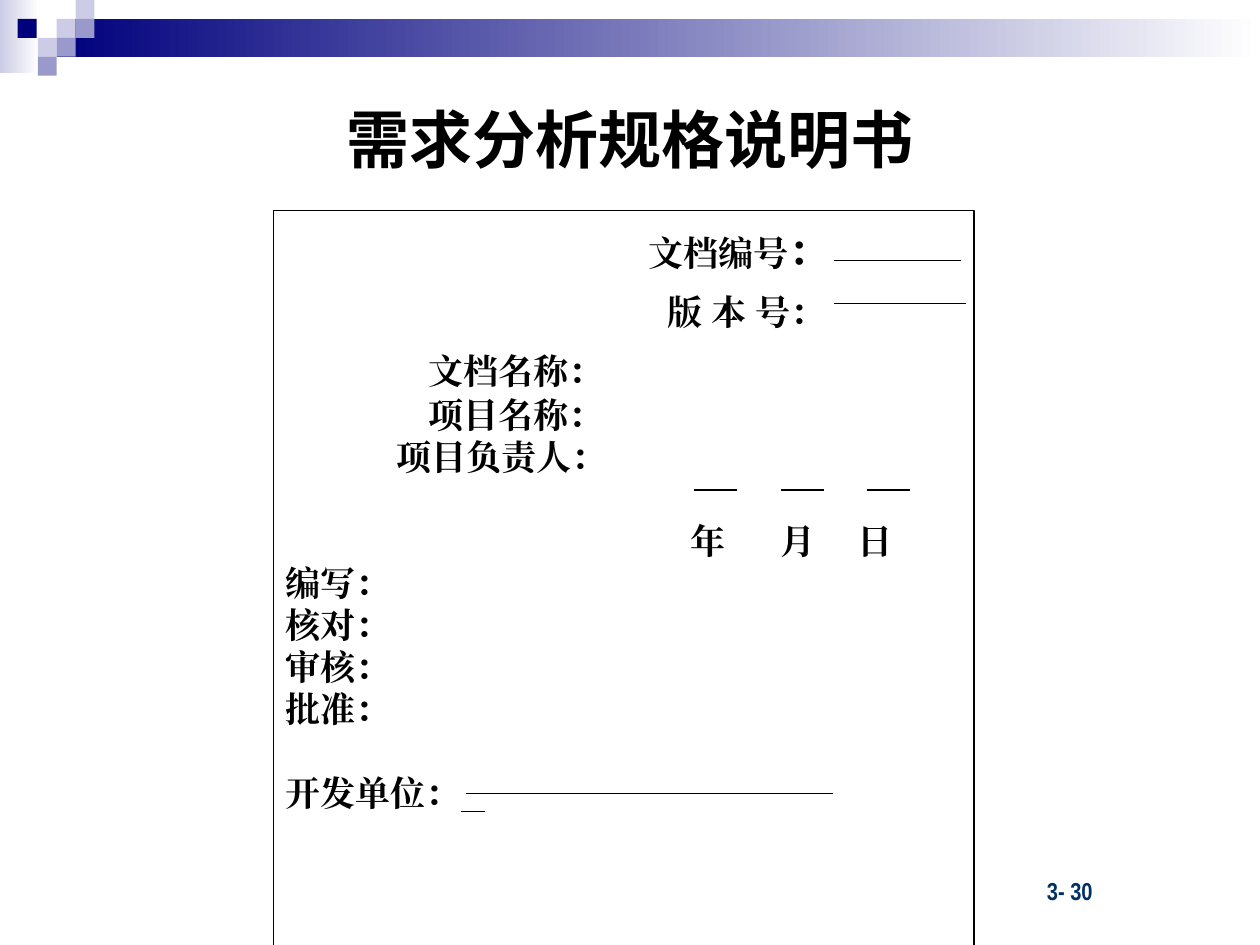
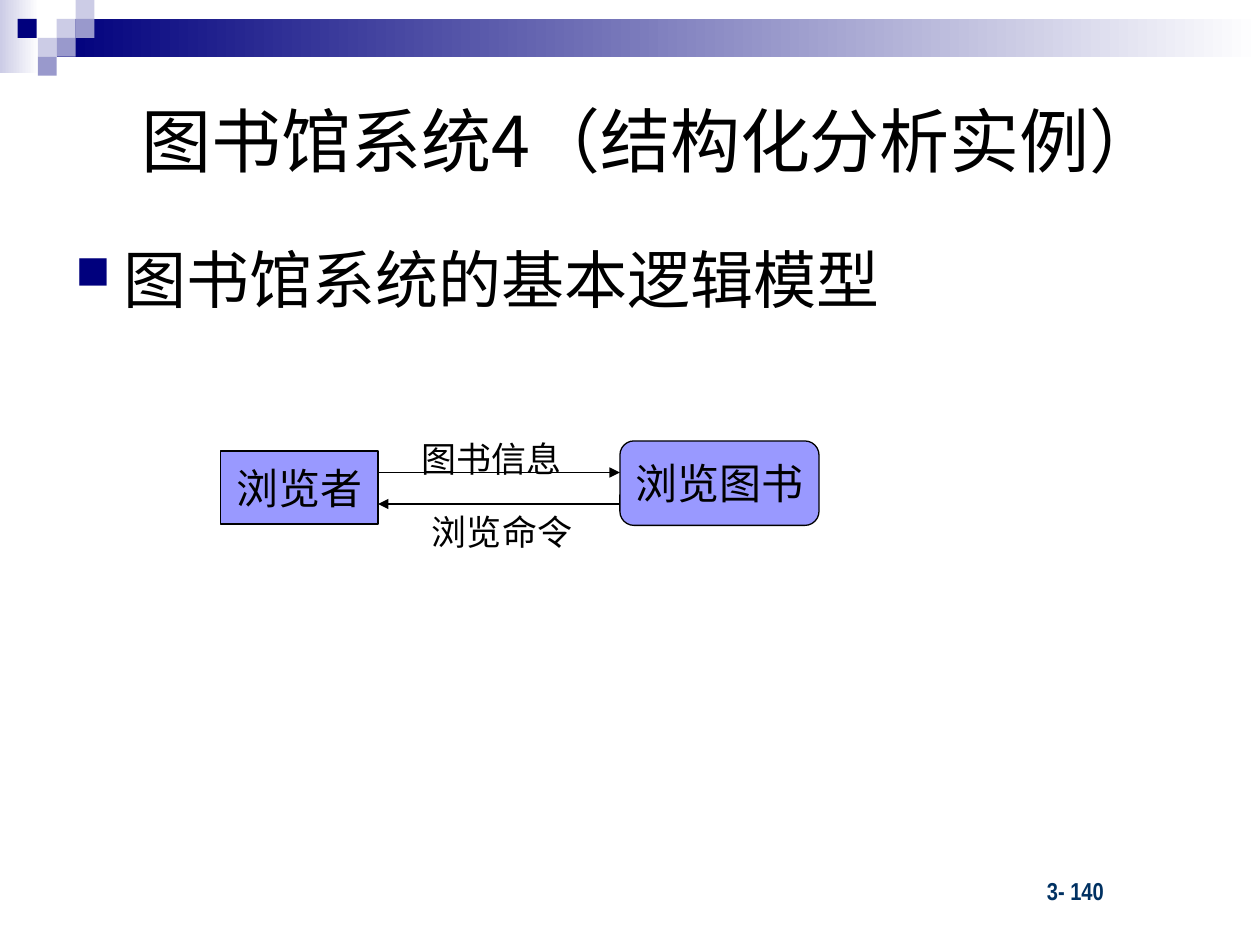
from lxml.etree import SubElement
from pptx import Presentation
from pptx.dml.color import RGBColor
from pptx.enum.shapes import MSO_CONNECTOR, MSO_SHAPE
from pptx.enum.text import MSO_ANCHOR, PP_ALIGN
from pptx.oxml.ns import qn
from pptx.util import Inches, Pt

COLOURS = {
    "navy": "00007D",
    "pale": "CCCCE6",
    "mid": "9999CC",
    "node": "9999FF",
    "footer": "003162",
    "white": "FFFFFF",
    "black": "000000",
}
CELL = 0.15
MOSAIC = [
    (0.45, 0.15, "pale"), (0.6, 0, "pale"), (0.6, 0.15, "mid"), (0.3, 0.3, "pale"),
    (0.14, 0.15, "navy"), (0.45, 0.3, "mid"), (0.3, 0.45, "mid"),
]
FORM_ROWS = [
    ([("文档编号", 20), ("：", 24)], 2.88, 0),
    ([("版 本 号：", 20)], 3.03, 9),
    ([("文档名称：", 20)], 1.13, 9.5),
    ([("项目名称：", 20)], 1.13, 1),
    ([("项目负责人：", 20)], 0.88, 0),
    ([("\t年\t月\t日", 20)], 0, 24),
    ([("编写：", 20)], 0, 0),
    ([("核对：", 20)], 0, 0),
    ([("审核：", 20)], 0, 0),
    ([("批准：", 20)], 0, 0),
    ([("开发单位：", 20)], 0, 24),
]
DATE_TABS = [3.21, 3.93, 4.54]
FORM_LINES = [
    (6.62, 2.07, 7.63), (6.62, 2.41, 7.67), (3.7, 6.3, 6.61), (3.66, 6.44, 3.85),
    (5.51, 3.89, 5.85), (6.2, 3.89, 6.54), (6.88, 3.89, 7.22),
]


def rgb(name):
    """Return the named colour."""
    return RGBColor.from_string(COLOURS[name])


def add_run(paragraph, text, size, font, colour="black", bold=False):
    """Add one run, using the same font for Latin and East Asian text."""
    run = paragraph.add_run()
    run.text = text
    run.font.size = Pt(size)
    run.font.name = font
    run.font.bold = bold
    run.font.color.rgb = rgb(colour)
    latin = run._r.get_or_add_rPr().find(qn("a:latin"))
    east_asian = SubElement(latin.getparent(), qn("a:ea"), typeface=font)
    latin.addnext(east_asian)


def add_box(slide, kind, box, fill=None, line=None):
    """Add a flat preset shape with an optional fill and outline."""
    shape = slide.shapes.add_shape(kind, *map(Inches, box))
    shape.shadow.inherit = False
    if fill:
        shape.fill.solid()
        shape.fill.fore_color.rgb = rgb(fill)
    else:
        shape.fill.background()
    if line:
        shape.line.color.rgb = rgb(line)
        shape.line.width = Pt(0.75)
    else:
        shape.line.fill.background()
    return shape


def add_gradient(slide, box, start):
    """Add a bar fading from a colour to white."""
    shape = add_box(slide, MSO_SHAPE.RECTANGLE, box)
    shape.fill.gradient()
    shape.fill.gradient_angle = 0
    for stop, colour in zip(shape.fill.gradient_stops, (start, "white")):
        stop.color.rgb = rgb(colour)


def add_text(slide, box, text, size, font, colour="black", bold=False,
             align=PP_ALIGN.LEFT, anchor=MSO_ANCHOR.TOP):
    """Add a wrapping text box with one run and return its paragraph."""
    frame = slide.shapes.add_textbox(*map(Inches, box)).text_frame
    frame.word_wrap = True
    frame.vertical_anchor = anchor
    paragraph = frame.paragraphs[0]
    paragraph.alignment = align
    add_run(paragraph, text, size, font, colour, bold)
    return paragraph


def add_line(slide, start, end, arrow=False):
    """Add a thin straight line, with an arrowhead at its end if wanted."""
    points = map(Inches, (*start, *end))
    connector = slide.shapes.add_connector(MSO_CONNECTOR.STRAIGHT, *points)
    connector.line.color.rgb = rgb("black")
    connector.line.width = Pt(0.75)
    if arrow:
        SubElement(connector.line._get_or_add_ln(), qn("a:tailEnd"), type="triangle")
    SubElement(connector._element.spPr, qn("a:effectLst"))


def add_node(slide, kind, box, text):
    """Add a labelled node of the data flow diagram."""
    shape = add_box(slide, kind, box, "node", "black")
    frame = shape.text_frame
    frame.word_wrap = False
    frame.vertical_anchor = MSO_ANCHOR.MIDDLE
    frame.paragraphs[0].alignment = PP_ALIGN.CENTER
    add_run(frame.paragraphs[0], text, 24, "DejaVu Sans")


def add_page(presentation, title, title_box, number, size, font, bold=False):
    """Add a slide with the shared band, mosaic, title and page number."""
    slide = presentation.slides.add_slide(presentation.slide_layouts[6])
    add_gradient(slide, (0, 0, 0.31, 0.58), "pale")
    add_gradient(slide, (0.45, 0.15, 9.55, 0.3), "navy")
    for left, top, colour in MOSAIC:
        add_box(slide, MSO_SHAPE.RECTANGLE, (left, top, CELL, CELL), colour)
    add_text(slide, (8.21, 6.9, 1.15, 0.33), f"3- {number}", 14, "Arial Narrow",
             "footer", True)
    add_text(slide, title_box, title, size, font, bold=bold,
             align=PP_ALIGN.CENTER, anchor=MSO_ANCHOR.MIDDLE)
    return slide


def add_tabs(paragraph, positions):
    """Give a paragraph left tab stops."""
    tabs = SubElement(paragraph._p.get_or_add_pPr(), qn("a:tabLst"))
    for position in positions:
        SubElement(tabs, qn("a:tab"), pos=str(Inches(position)), algn="l")


def add_bullet(paragraph):
    """Give a paragraph a navy square bullet with a hanging indent."""
    properties = paragraph._p.get_or_add_pPr()
    properties.set("marL", str(Inches(0.38)))
    properties.set("indent", str(Inches(-0.38)))
    colour = SubElement(properties, qn("a:buClr"))
    SubElement(colour, qn("a:srgbClr"), val=COLOURS["navy"])
    SubElement(properties, qn("a:buSzPct"), val="75000")
    SubElement(properties, qn("a:buChar"), char="■")


def add_form(slide):
    """Add the framed cover form and its blanks to fill in."""
    frame = add_box(slide, MSO_SHAPE.RECTANGLE, (2.17, 1.67, 5.56, 5.91),
                    line="black").text_frame
    frame.word_wrap = True
    frame.vertical_anchor = MSO_ANCHOR.TOP
    frame.margin_top = Inches(0.18)
    for index, (runs, indent, space) in enumerate(FORM_ROWS):
        paragraph = frame.add_paragraph() if index else frame.paragraphs[0]
        paragraph.alignment = PP_ALIGN.LEFT
        paragraph.line_spacing = Pt(24)
        if space:
            paragraph.space_before = Pt(space)
        if indent:
            paragraph._p.get_or_add_pPr().set("marL", str(Inches(indent)))
        if runs[0][0].startswith("\t"):
            add_tabs(paragraph, DATE_TABS)
        for text, size in runs:
            add_run(paragraph, text, size, "Times New Roman", bold=True)
    for left, top, right in FORM_LINES:
        add_line(slide, (left, top), (right, top))


def add_data_flow(slide):
    """Add the two nodes and the flows between them."""
    add_node(slide, MSO_SHAPE.RECTANGLE, (1.75, 3.58, 1.25, 0.58), "浏览者")
    add_node(slide, MSO_SHAPE.ROUNDED_RECTANGLE, (4.92, 3.5, 1.58, 0.67), "浏览图书")
    add_line(slide, (3, 3.75), (4.92, 3.75), arrow=True)
    add_line(slide, (4.92, 4), (3, 4), arrow=True)
    for left, top, label in ((3.25, 3.42, "图书信息"), (3.33, 4, "浏览命令")):
        add_text(slide, (left, top, 1.33, 0.44), label, 20, "DejaVu Sans")


def main():
    """Build and save the presentation."""
    presentation = Presentation()
    presentation.slide_width = Inches(10)
    presentation.slide_height = Inches(7.5)

    cover_slide = add_page(presentation, "需求分析规格说明书", (0.5, 0.5, 9, 1.2),
                           30, 36, "Arial", bold=True)
    add_form(cover_slide)

    library_slide = add_page(presentation, "图书馆系统4（结构化分析实例）",
                             (0.33, 0.91, 9.67, 0.4), 140, 40, "Noto Sans CJK SC")
    heading = add_text(library_slide, (0.5, 1.86, 9, 4.56),
                       "图书馆系统的基本逻辑模型", 36, "Arial")
    add_bullet(heading)
    add_data_flow(library_slide)

    presentation.save("out.pptx")


if __name__ == "__main__":
    main()
